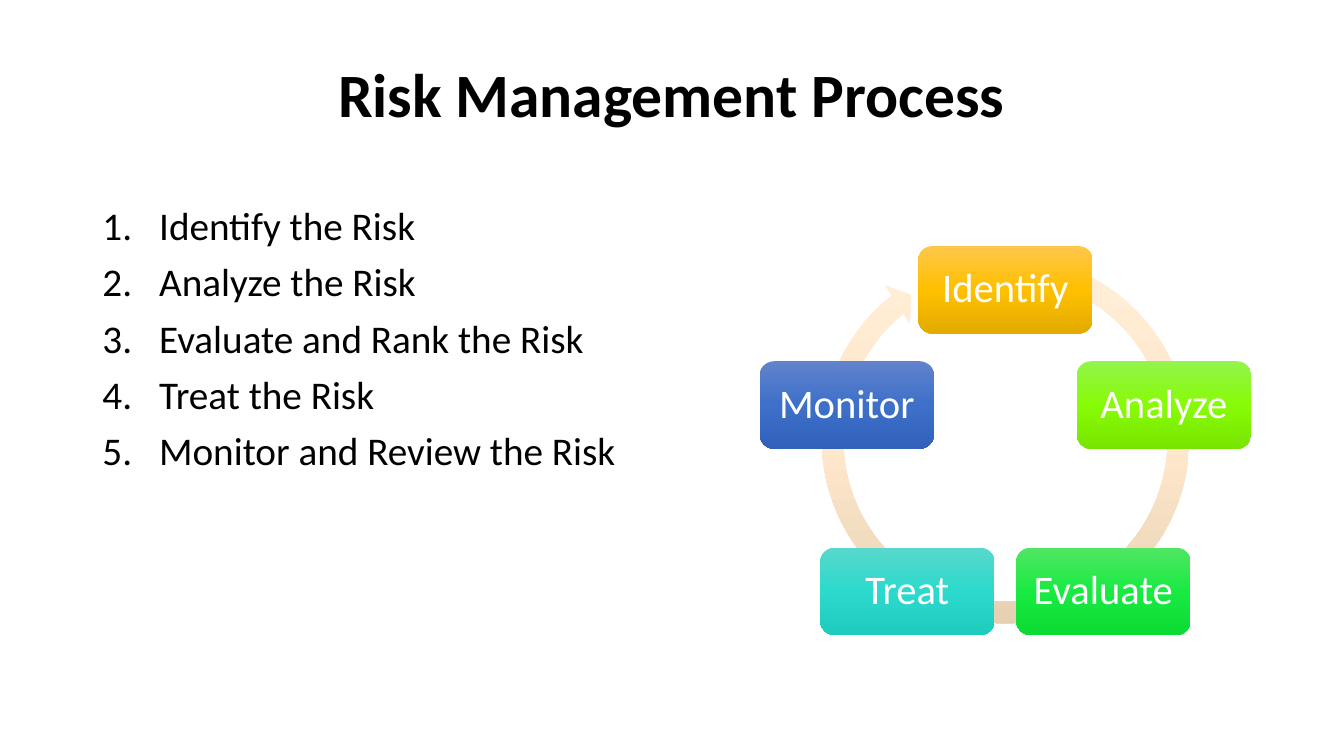
from copy import deepcopy
from math import cos, radians, sin

from pptx import Presentation
from pptx.dml.color import RGBColor
from pptx.enum.shapes import MSO_SHAPE as Shape
from pptx.enum.text import MSO_ANCHOR as Anchor, MSO_AUTO_SIZE as AutoSize, PP_ALIGN as Align
from pptx.oxml.ns import qn
from pptx.oxml.xmlchemy import OxmlElement
from pptx.util import Pt

STEPS = [
    "Identify the Risk",
    "Analyze the Risk",
    "Evaluate and Rank the Risk",
    "Treat the Risk",
    "Monitor and Review the Risk",
]
STAGES = [
    ("Identify", ["FFC64B", "FFC000", "E3AB00"]),
    ("Analyze", ["94F44C", "87FB06", "78E500"]),
    ("Evaluate", ["51E663", "19EA42", "0CDB34"]),
    ("Treat", ["58D8CC", "2BDACC", "1ECBBD"]),
    ("Monitor", ["6183CB", "3E70CA", "3062BB"]),
]
ARROW_COLOURS = ["FFEED8", "FFE8CC", "E5CFB3"]
CYCLE_X, CYCLE_Y, CYCLE_RADIUS = 718.2, 326.1, 119.1
NODE_WIDTH, NODE_HEIGHT = 124.6, 62.6


def colour(value):
    return RGBColor.from_string(value)


class SlideBuilder:
    font = "Calibri"
    ink = "000000"
    white = "FFFFFF"

    def __init__(self, page):
        self.page = page

    def place(self, shape, left, top, width, height):
        shape.left, shape.top = Pt(left), Pt(top)
        shape.width, shape.height = Pt(width), Pt(height)

    def style(self, para, size, ink, bold=False):
        para.line_spacing = 0.9
        for span in para.runs:
            span.font.name = self.font
            span.font.size = Pt(size)
            span.font.bold = bold
            span.font.color.rgb = colour(ink)

    def title(self, text, *bounds):
        box = self.page.shapes.title
        self.place(box, *bounds)
        frame = box.text_frame
        frame.text = text
        frame.auto_size = AutoSize.NONE
        frame.vertical_anchor = Anchor.MIDDLE
        para = frame.paragraphs[0]
        para.alignment = Align.CENTER
        self.style(para, 44, self.ink, bold=True)

    def numbered_list(self, items, *bounds):
        box = self.page.placeholders[1]
        self.place(box, *bounds)
        frame = box.text_frame
        frame.text = "\n".join(items)
        frame.auto_size = AutoSize.NONE
        frame.vertical_anchor = Anchor.TOP
        for index, para in enumerate(frame.paragraphs):
            properties = para._p.get_or_add_pPr()
            properties.set("marL", str(Pt(40.5)))
            properties.set("indent", str(Pt(-40.5)))
            number = OxmlElement("a:buAutoNum")
            number.set("type", "arabicPeriod")
            properties.append(number)
            para.space_before = Pt(10 if index else 0)
            self.style(para, 28, self.ink)

    def gradient_shape(self, kind, centre_x, centre_y, width, height, colours):
        shape = self.page.shapes.add_shape(
            kind, Pt(centre_x - width / 2), Pt(centre_y - height / 2), Pt(width), Pt(height))
        shape.shadow.inherit = False
        shape.line.fill.background()
        shape.fill.gradient()
        shape.fill.gradient_angle = 270
        stops = shape._element.spPr.find(".//" + qn("a:gsLst"))
        stops.append(deepcopy(stops[0]))
        for index, stop in enumerate(shape.fill.gradient_stops):
            stop.position = index / 2
            stop.color.rgb = colour(colours[index])
        return shape

    def cycle_arrow(self, centre_x, centre_y, size, colours):
        arrow = self.gradient_shape(
            Shape.CIRCULAR_ARROW, centre_x, centre_y, size, size, colours)
        band, head = 5.5 / 100, 5.8 / 100
        head_angle, end_angle, start_angle = (
            degrees * 0.6 for degrees in (5.51, 231.35, 288.71))
        values = (band, head_angle, end_angle, start_angle, head)
        for index, value in enumerate(values):
            arrow.adjustments[index] = value

    def node(self, text, centre_x, centre_y, colours):
        box = self.gradient_shape(
            Shape.ROUNDED_RECTANGLE, centre_x, centre_y, NODE_WIDTH, NODE_HEIGHT, colours)
        frame = box.text_frame
        frame.text = text
        frame.word_wrap = True
        frame.vertical_anchor = Anchor.MIDDLE
        frame.margin_left = frame.margin_right = Pt(4)
        frame.margin_top = frame.margin_bottom = Pt(4)
        para = frame.paragraphs[0]
        para.alignment = Align.CENTER
        self.style(para, 29, self.white)


def main():
    deck = Presentation()
    deck.slide_width, deck.slide_height = Pt(960), Pt(540)
    builder = SlideBuilder(deck.slides.add_slide(deck.slide_layouts[1]))
    builder.title("Risk Management Process", 66, 17.25, 828, 104.4)
    builder.numbered_list(STEPS, 66, 144, 476.6, 342.7)
    builder.cycle_arrow(CYCLE_X, 314, 279.4, ARROW_COLOURS)
    for index, (label, colours) in enumerate(STAGES):
        angle = radians(index * 360 / len(STAGES))
        builder.node(
            label,
            CYCLE_X + CYCLE_RADIUS * sin(angle),
            CYCLE_Y - CYCLE_RADIUS * cos(angle),
            colours)
    deck.save("out.pptx")


if __name__ == "__main__":
    main()
